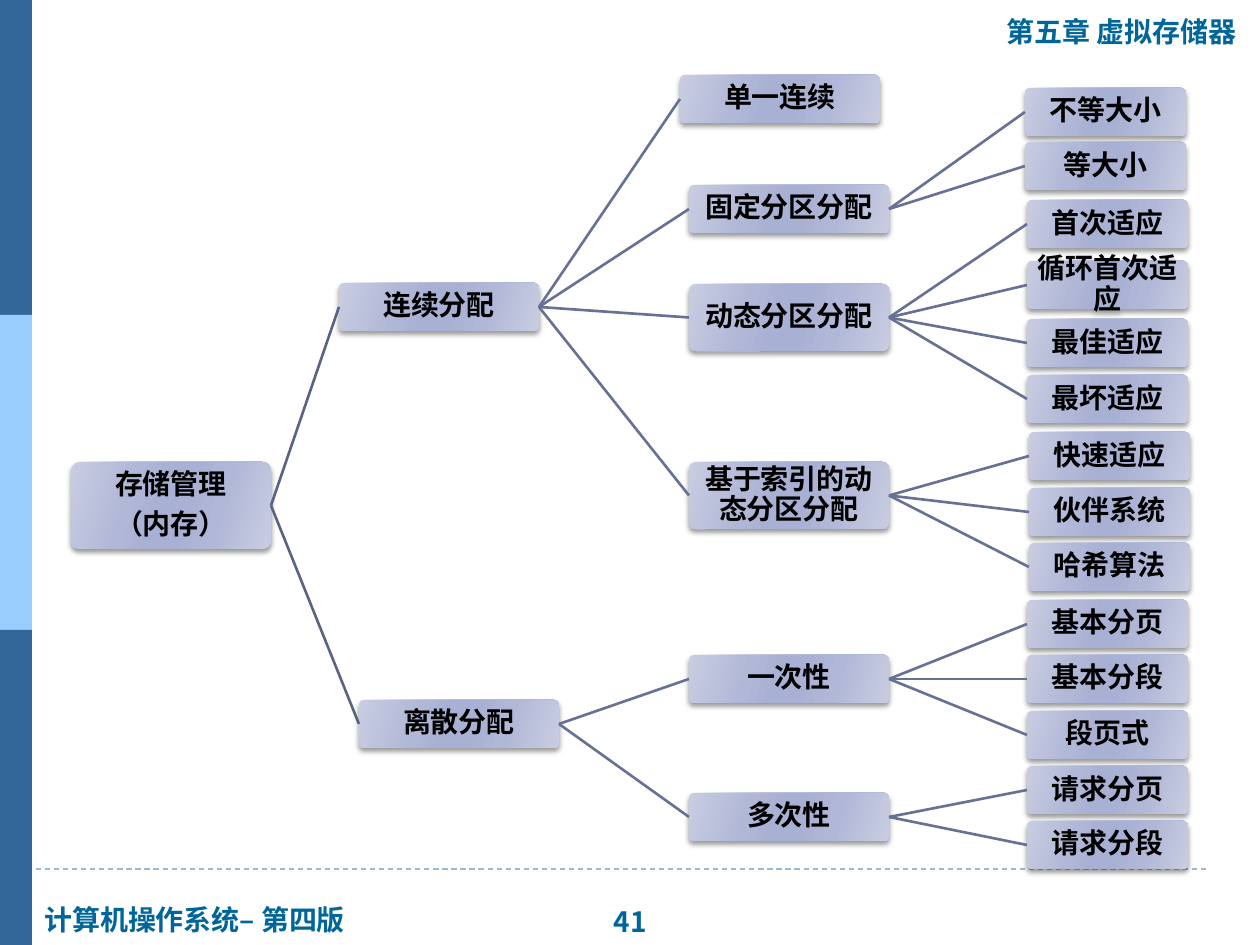
from lxml.etree import SubElement
from pptx import Presentation
from pptx.dml.color import RGBColor
from pptx.enum.dml import MSO_LINE
from pptx.enum.shapes import MSO_CONNECTOR, MSO_SHAPE
from pptx.enum.text import MSO_ANCHOR as Anchor, MSO_AUTO_SIZE, PP_ALIGN as Align
from pptx.oxml.ns import qn
from pptx.util import Emu, Pt

PX = 914400 / 126  # EMU per px
BRANCH_W, ROW_H, TALL_H, LEAF_W = 200, 48, 67, 161
GRADIENT = [(0, "C9CDE2"), (30, "B1B7D7"), (45, "A8B0D3"),
            (55, "A8B0D3"), (73, "B1B7D7"), (100, "C9CDE2")]


def leaves(left, *rows):
    return [(name, left, top, LEAF_W, ROW_H, []) for name, top in rows]


# Each node: name, left, top, width, height, children
TREE = ("存储管理\n（内存）", 71, 462, BRANCH_W, 87, [
    ("连续分配", 339, 283, BRANCH_W, ROW_H, [
        ("单一连续", 680, 75, BRANCH_W, ROW_H, []),
        ("固定分区分配", 689, 185, BRANCH_W, ROW_H,
         leaves(1025, ("不等大小", 88), ("等大小", 142))),
        ("动态分区分配", 689, 284, BRANCH_W, TALL_H,
         leaves(1027, ("首次适应", 200), ("循环首次适应", 261),
                ("最佳适应", 319), ("最坏适应", 375))),
        ("基于索引的动态分区分配", 689, 462, BRANCH_W, TALL_H,
         leaves(1029, ("快速适应", 432), ("伙伴系统", 488), ("哈希算法", 543))),
    ]),
    ("离散分配", 359, 700, BRANCH_W, ROW_H, [
        ("一次性", 689, 655, BRANCH_W, ROW_H,
         leaves(1027, ("基本分页", 600), ("基本分段", 655), ("段页式", 711))),
        ("多次性", 689, 793, BRANCH_W, ROW_H,
         leaves(1027, ("请求分页", 766), ("请求分段", 821))),
    ]),
])


def px(*lengths):
    return [Emu(round(n * PX)) for n in lengths]


def color(value):
    return RGBColor.from_string(value)


def style_text(frame, font_name, ink, align):
    for paragraph in frame.paragraphs:
        paragraph.alignment = align
        for run in paragraph.runs:
            run.font.name = font_name
            run.font.size = Pt(16)
            run.font.bold = True
            run.font.color.rgb = color(ink)


def fill_label(label, text, font_name="Arial", align=Align.LEFT):
    frame = label.text_frame
    frame.text = text
    frame.word_wrap = False
    frame.auto_size = MSO_AUTO_SIZE.NONE
    frame.vertical_anchor = Anchor.TOP
    style_text(frame, font_name, "006699", align)


def add_band(slide, top, fill):
    band = slide.shapes.add_shape(MSO_SHAPE.RECTANGLE, *px(0, top, 32, 315))
    band.shadow.inherit = False
    band.fill.solid()
    band.fill.fore_color.rgb = color(fill)
    band.line.fill.background()


def add_line(slide, ends, ink, width):
    line = slide.shapes.add_connector(MSO_CONNECTOR.STRAIGHT, *px(*ends))
    line.line.color.rgb = color(ink)
    line.line.width = Pt(width)
    SubElement(line._element.spPr, qn("a:effectLst"))
    return line


def shade(node):
    """Give a node its gradient and soft shadow below."""
    node.line.fill.background()
    node.fill.gradient()
    node.fill.gradient_angle = 344
    stops = node._element.spPr.find(qn("a:gradFill")).find(qn("a:gsLst"))
    for stop in list(stops):
        stops.remove(stop)
    for position, tint in GRADIENT:
        stop = SubElement(stops, qn("a:gs"), pos=str(position * 1000))
        SubElement(stop, qn("a:srgbClr"), val=tint)
    node.shadow.inherit = False
    effects = node._element.spPr.find(qn("a:effectLst"))
    shadow = SubElement(effects, qn("a:outerShdw"), blurRad=str(Pt(3)),
                        dist=str(Pt(2)), dir="5400000", rotWithShape="0")
    black = SubElement(shadow, qn("a:srgbClr"), val="000000")
    SubElement(black, qn("a:alpha"), val="40000")


def add_node(slide, name, *box):
    node = slide.shapes.add_shape(MSO_SHAPE.ROUNDED_RECTANGLE, *px(*box))
    node.adjustments[0] = 0.1
    shade(node)
    frame = node.text_frame
    frame.text = name
    frame.word_wrap = True
    frame.vertical_anchor = Anchor.MIDDLE
    (frame.margin_left, frame.margin_top,
     frame.margin_right, frame.margin_bottom) = px(3, 3, 3, 3)
    style_text(frame, "Calibri", "000000", Align.CENTER)
    for paragraph in frame.paragraphs:
        paragraph.line_spacing = 0.9
        paragraph.space_after = Pt(5.6)
    return node


def add_tree(slide, branch, link_color="5B6383"):
    name, *box, children = branch
    parent = add_node(slide, name, *box)
    for child_branch in children:
        child = add_tree(slide, child_branch, "677194")
        link = add_line(slide, (0, 0, 0, 0), link_color, 1.5)
        link.begin_connect(parent, 3)
        link.end_connect(child, 1)
    return parent


def main():
    deck = Presentation()
    deck.slide_width, deck.slide_height = px(1260, 945)
    slide = deck.slides.add_slide(deck.slide_layouts[5])

    # Frame: footer rule and side bands
    rule = add_line(slide, (0, 869, 1208, 869), "9FB8CD", 0.75)
    rule.line.dash_style = MSO_LINE.DASH
    for index, fill in enumerate(("336699", "99CCFF", "336699")):
        add_band(slide, index * 315, fill)

    # Chapter title, book name and page number
    chapter = slide.shapes.title
    chapter.left, chapter.top, chapter.width, chapter.height = px(994, 8, 261, 47)
    fill_label(chapter, "第五章 虚拟存储器")
    book = slide.shapes.add_textbox(*px(32, 896, 334, 47))
    fill_label(book, "计算机操作系统– 第四版")
    page = slide.shapes.add_textbox(*px(596, 898, 68, 47))
    fill_label(page, "41", "Noto Sans CJK JP", Align.CENTER)

    # Classification tree
    add_tree(slide, TREE)
    deck.save("out.pptx")


if __name__ == "__main__":
    main()
